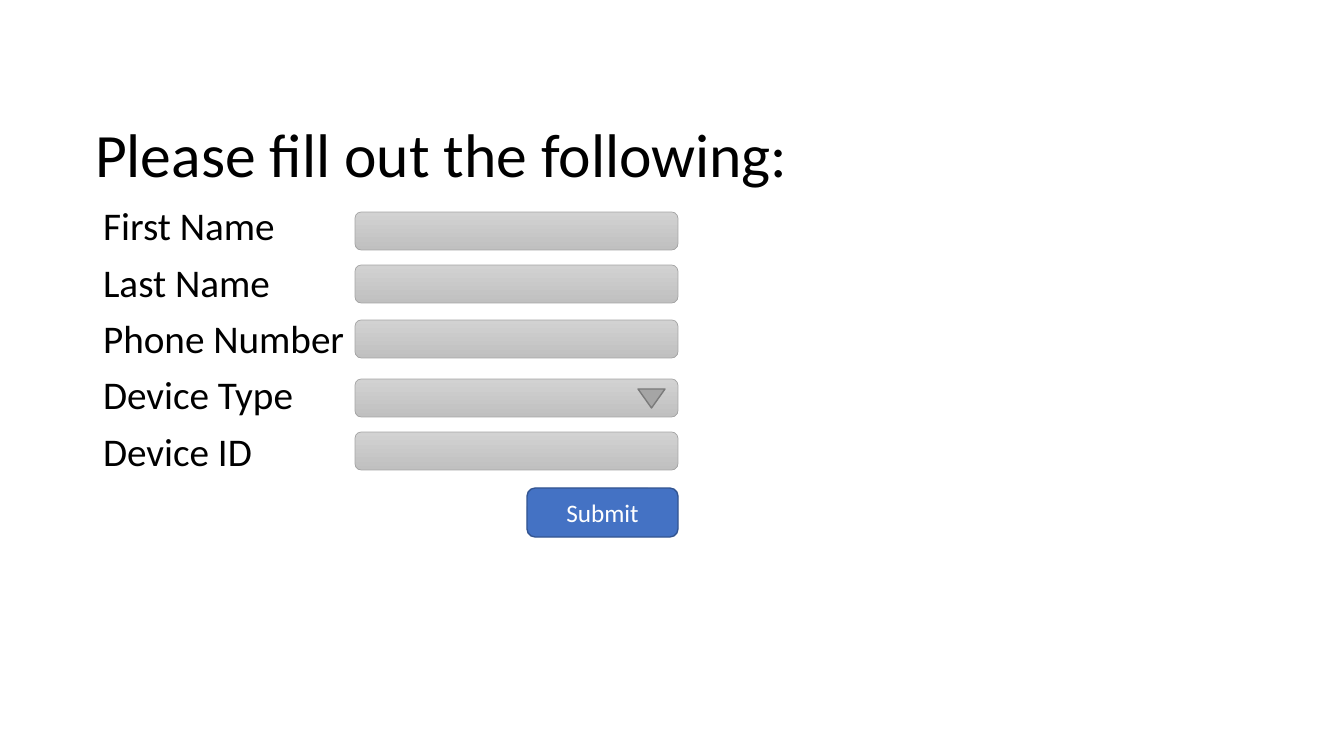
from pptx import Presentation
from pptx.dml.color import RGBColor
from pptx.enum.shapes import MSO_SHAPE as Shape
from pptx.enum.text import MSO_ANCHOR as Anchor, MSO_AUTO_SIZE as AutoSize, PP_ALIGN as Align
from pptx.util import Pt

EMU_PER_PIXEL = 914400 / 100.8
FONT = "Calibri"
COLORS = {
    "text": "000000", "button": "4472C4", "button line": "325491",
    "button text": "FFFFFF", "field top": "D2D2D2", "field bottom": "C0C0C0",
    "field line": "A5A5A5", "arrow": "A5A5A5", "arrow line": "7A7A7A",
}


def px(length):
    return round(length * EMU_PER_PIXEL)


def color(name):
    return RGBColor.from_string(COLORS[name])


class FormSlide:
    def __init__(self, deck):
        self.slide = deck.slides.add_slide(deck.slide_layouts[1])

    def style(self, paragraph, size, name, align):
        paragraph.font.name = FONT
        paragraph.font.size = Pt(size)
        paragraph.font.color.rgb = color(name)
        paragraph.alignment = align

    def placeholder(self, index, box, lines, size, anchor, space_before=0):
        holder = self.slide.placeholders[index]
        holder.left, holder.top, holder.width, holder.height = map(px, box)
        frame = holder.text_frame
        frame.text = "\n".join(lines)
        frame.auto_size = AutoSize.NONE
        frame.vertical_anchor = anchor
        for paragraph in frame.paragraphs:
            self.style(paragraph, size, "text", Align.LEFT)
            paragraph.line_spacing = 0.9
            paragraph.space_before = Pt(space_before)
        return frame

    def plain_list(self, box, lines, size):
        frame = self.placeholder(1, box, lines, size, Anchor.TOP, 10)
        for paragraph in frame.paragraphs:
            properties = paragraph._p.get_or_add_pPr()
            properties.set("marL", "0")
            properties.set("indent", "0")
            bullet = properties.makeelement(
                "{http://schemas.openxmlformats.org/drawingml/2006/main}buNone", {})
            properties.append(bullet)

    def shape(self, kind, box, line, width, fill=None):
        item = self.slide.shapes.add_shape(kind, *map(px, box))
        item.shadow.inherit = False
        item.line.color.rgb = color(line)
        item.line.width = Pt(width)
        if fill:
            item.fill.solid()
            item.fill.fore_color.rgb = color(fill)
        return item

    def field(self, box):
        fill = self.shape(Shape.ROUNDED_RECTANGLE, box, "field line", 0.5).fill
        fill.gradient()
        fill.gradient_angle = 270
        for stop, name in zip(fill.gradient_stops, ("field top", "field bottom")):
            stop.color.rgb = color(name)

    def dropdown_arrow(self, box):
        arrow = self.shape(Shape.ISOSCELES_TRIANGLE, box, "arrow line", 1, "arrow")
        arrow.rotation = 180

    def button(self, box, label):
        button = self.shape(Shape.ROUNDED_RECTANGLE, box, "button line", 1, "button")
        button.text_frame.text = label
        button.text_frame.vertical_anchor = Anchor.MIDDLE
        self.style(button.text_frame.paragraphs[0], 18, "button text", Align.CENTER)


deck = Presentation()
deck.slide_width, deck.slide_height = px(1344), px(756)
form = FormSlide(deck)

# Heading and field labels
form.placeholder(0, (85, 85, 1159, 146), ["Please fill out the following:"],
                 44, Anchor.MIDDLE)
field_tops = {"First Name": 212, "Last Name": 265, "Phone Number": 320,
              "Device Type": 379, "Device ID": 432}
form.plain_list((93, 202, 1159, 480), field_tops, 28)

# Input fields, with the device type as a dropdown
for top in field_tops.values():
    form.field((355, top, 323, 38))
form.dropdown_arrow((638, field_tops["Device Type"] + 10, 27, 19))

# Submit button
form.button((527, 488, 151, 49), "Submit")

deck.save("out.pptx")
